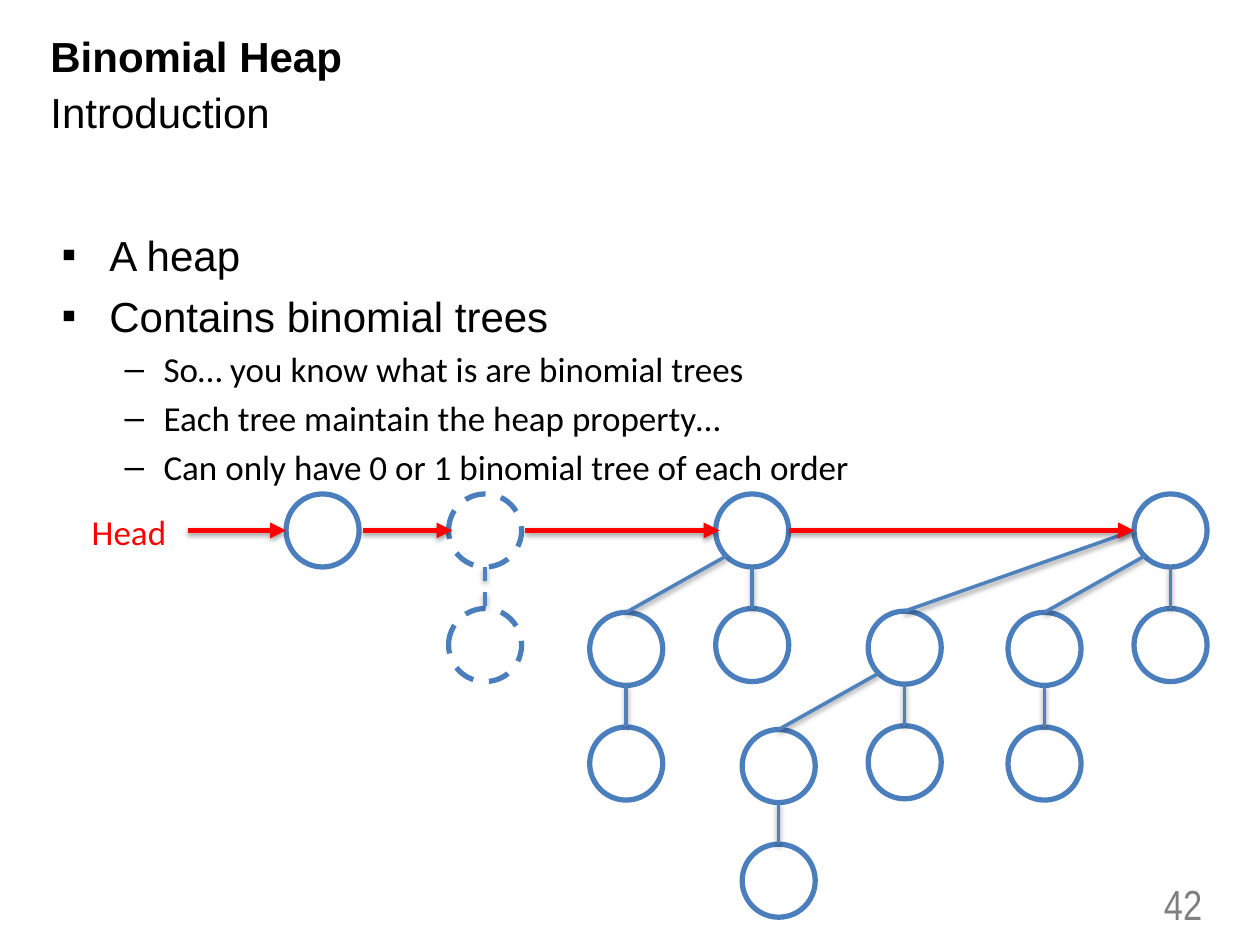
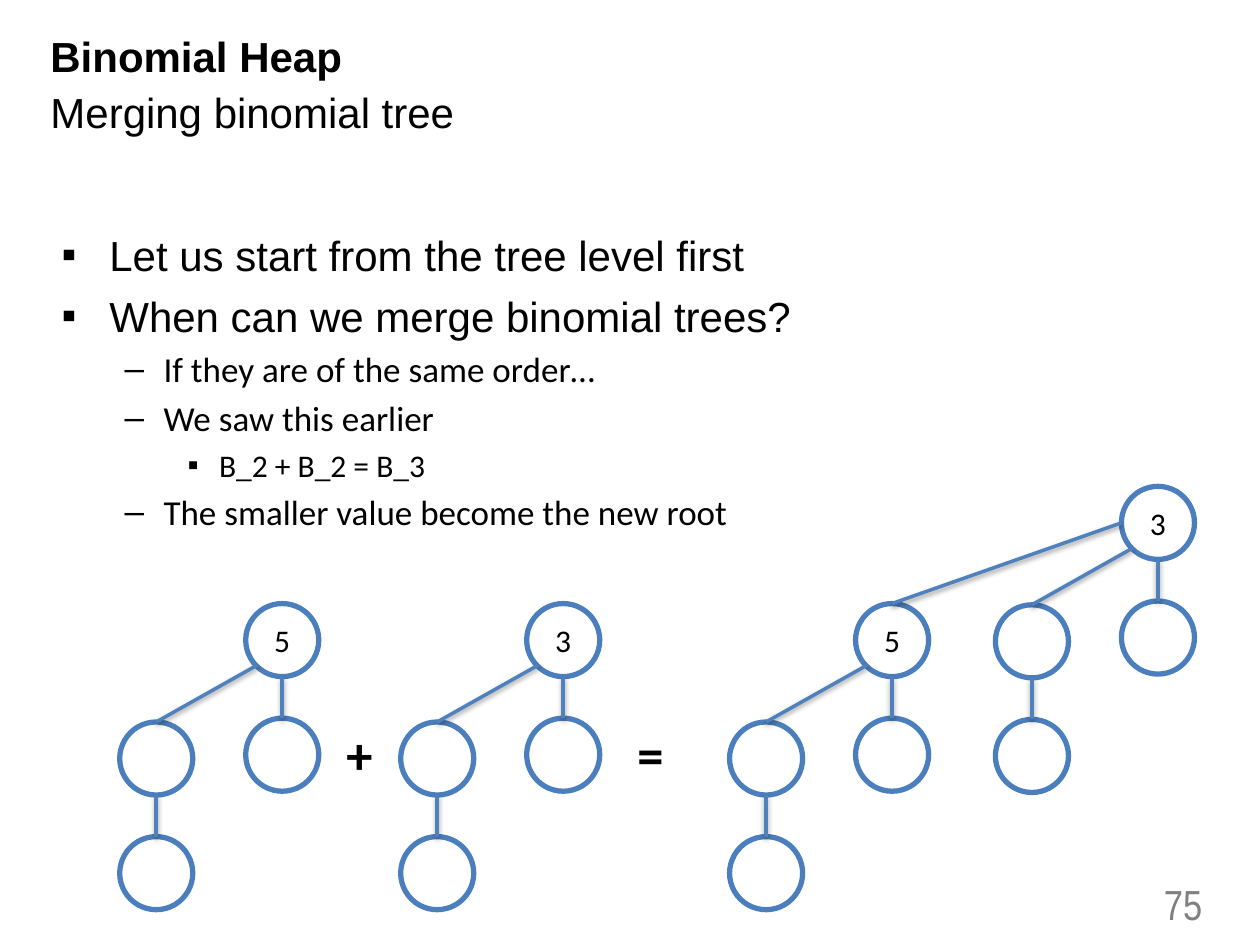
from lxml.etree import SubElement
from pptx import Presentation
from pptx.dml.color import RGBColor
from pptx.enum.dml import MSO_LINE
from pptx.enum.shapes import MSO_CONNECTOR, MSO_SHAPE
from pptx.enum.text import MSO_ANCHOR, MSO_AUTO_SIZE, PP_ALIGN
from pptx.oxml.ns import qn
from pptx.util import Inches, Pt

BLACK = RGBColor(0x00, 0x00, 0x00)
GREY = RGBColor(0x80, 0x80, 0x80)
RED = RGBColor(0xFF, 0x00, 0x00)
NODE_BLUE = RGBColor(0x4B, 0x7E, 0xBC)
EDGE_BLUE = RGBColor(0x4F, 0x81, 0xBD)

NODE = 0.58
# Offset of the child of each order from its parent
CHILD_OFFSETS = [(0, 0.91), (-1, 0.94), (-2.11, 0.93)]
# Point on the parent's outline where the edge to that child starts
EDGE_STARTS = [(NODE / 2, NODE), (0.09, 0.49), (0, NODE / 2)]
# Bullet, left margin, indent, size, font and space before of each level
LEVELS = [
    ("▪", 0.38, -0.38, 24, "Arial", 6),
    ("–", 0.81, -0.31, 20, "Calibri", 4),
    ("▪", 1.25, -0.25, 18, "Calibri", 4),
]


def set_font(paragraph, size, name="Calibri", color=BLACK, bold=False):
    """Format all the text of a paragraph."""
    font = paragraph.font
    font.size, font.name, font.bold = Pt(size), name, bold
    font.color.rgb = color


def add_title(slide, subject, topic):
    """Fill the title with a bold subject above a plain topic."""
    title = slide.shapes.title
    title.left, title.top = Inches(0.3), Inches(0.24)
    title.width, title.height = Inches(5.71), Inches(0.85)
    frame = title.text_frame
    frame.auto_size = MSO_AUTO_SIZE.NONE
    frame.vertical_anchor = MSO_ANCHOR.TOP
    frame.text = f"{subject}\n{topic}"
    for index, paragraph in enumerate(frame.paragraphs):
        paragraph.alignment = PP_ALIGN.LEFT
        paragraph.line_spacing = 0.9
        paragraph.space_before = Pt(6 * index)
        set_font(paragraph, 24, "Arial", bold=index == 0)


def add_label(slide, text, left, top, width, height, size, **font):
    """Add a one-line text box and return its paragraph."""
    frame = slide.shapes.add_textbox(
        Inches(left), Inches(top), Inches(width), Inches(height)).text_frame
    paragraph = frame.paragraphs[0]
    paragraph.text = text
    set_font(paragraph, size, **font)
    return paragraph


def add_page_number(slide, number):
    """Add the page number at the lower right."""
    paragraph = add_label(slide, number, 8.31, 6.92, 1.33, 0.5, 24,
                          name="Arial Narrow", color=GREY)
    paragraph.alignment = PP_ALIGN.RIGHT


def add_bullets(slide, points):
    """Add a bulleted list from (level, text) pairs."""
    frame = slide.shapes.add_textbox(
        Inches(0.39), Inches(1.77), Inches(9), Inches(4.95)).text_frame
    frame.word_wrap = True
    for index, (level, text) in enumerate(points):
        bullet, margin, indent, size, font, gap = LEVELS[level]
        paragraph = frame.add_paragraph() if index else frame.paragraphs[0]
        paragraph.text = text
        paragraph.level = level
        if index:
            paragraph.space_before = Pt(gap)
        properties = paragraph._p.get_or_add_pPr()
        properties.set("marL", str(Inches(margin)))
        properties.set("indent", str(Inches(indent)))
        SubElement(properties, qn("a:buFont"), typeface="Arial")
        SubElement(properties, qn("a:buChar"), char=bullet)
        set_font(paragraph, size, font)


def add_line(slide, start, end, color, width, dashed=False):
    """Add a straight line with a soft shadow below it."""
    line = slide.shapes.add_connector(
        MSO_CONNECTOR.STRAIGHT, *(Inches(value) for value in (*start, *end)))
    line.line.color.rgb = color
    line.line.width = Pt(width)
    if dashed:
        line.line.dash_style = MSO_LINE.DASH
    effects = SubElement(line._element.spPr, qn("a:effectLst"))
    shadow = SubElement(effects, qn("a:outerShdw"), blurRad=str(Pt(3.1)),
                        dist=str(Pt(1.6)), dir="5400000", rotWithShape="0")
    shade = SubElement(shadow, qn("a:srgbClr"), val=str(BLACK))
    SubElement(shade, qn("a:alpha"), val="38000")
    return line


def add_arrow(slide, start, end):
    """Add a red arrow that links one root to the next."""
    arrow = add_line(slide, start, end, RED, 3)
    SubElement(arrow.line._get_or_add_ln(), qn("a:tailEnd"), type="triangle")


def add_node(slide, left, top, key, dashed):
    """Add a tree node that shows its key, if it has one."""
    node = slide.shapes.add_shape(
        MSO_SHAPE.OVAL, Inches(left), Inches(top), Inches(NODE), Inches(NODE))
    node.shadow.inherit = False
    node.fill.background()
    node.line.color.rgb = NODE_BLUE
    node.line.width = Pt(3)
    if dashed:
        node.line.dash_style = MSO_LINE.DASH
    if key:
        frame = node.text_frame
        frame.word_wrap = False
        frame.vertical_anchor = MSO_ANCHOR.MIDDLE
        paragraph = frame.paragraphs[0]
        paragraph.text = key
        paragraph.alignment = PP_ALIGN.CENTER
        set_font(paragraph, 18)
    return node


def add_tree(slide, order, left, top, keys=(), dashed=False):
    """Add a binomial tree, with keys down its highest-order branch."""
    root = add_node(slide, left, top, keys[0] if keys else "", dashed)
    for child_order in range(order):
        dx, dy = CHILD_OFFSETS[child_order]
        edge_x, edge_y = EDGE_STARTS[child_order]
        child_keys = keys[1:] if child_order == order - 1 else ()
        child = add_tree(slide, child_order, left + dx, top + dy,
                         child_keys, dashed)
        edge = add_line(slide, (left + edge_x, top + edge_y),
                        (left + dx + NODE / 2, top + dy),
                        EDGE_BLUE, 2, dashed)
        edge.end_connect(child, 0)
    return root


def add_heap_slide(deck, topic, number, points):
    """Add a slide with title, bullets and page number."""
    slide = deck.slides.add_slide(deck.slide_layouts[5])
    add_page_number(slide, number)
    add_bullets(slide, points)
    add_title(slide, "Binomial Heap", topic)
    return slide


def add_introduction(deck):
    """Add the slide that shows a heap as a list of trees."""
    slide = add_heap_slide(deck, "Introduction", "42", [
        (0, "A heap"),
        (0, "Contains binomial trees"),
        (1, "So… you know what is are binomial trees"),
        (1, "Each tree maintain the heap property…"),
        (1, "Can only have 0 or 1 binomial tree of each order"),
    ])
    root_top = 3.92
    for order, left in enumerate([2.27, 3.56, 5.68, 9]):
        add_tree(slide, order, left, root_top, dashed=order == 1)
    link_y = root_top + NODE / 2
    for start, end in [(1.49, 2.27), (2.88, 3.59), (4.17, 5.71), (6.26, 9)]:
        add_arrow(slide, (start, link_y), (end, link_y))
    head = add_label(slide, "Head", 0.63, 4, 0.8, 0.44, 20, color=RED)
    head.alignment = PP_ALIGN.LEFT


def add_merging(deck):
    """Add the slide that merges two trees of order 2."""
    slide = add_heap_slide(deck, "Merging binomial tree", "75", [
        (0, "Let us start from the tree level first"),
        (0, "When can we merge binomial trees?"),
        (1, "If they are of the same order…"),
        (1, "We saw this earlier"),
        (2, "B_2 + B_2 = B_3"),
        (1, "The smaller value become the new root"),
    ])
    add_tree(slide, 2, 1.95, 4.79, ["5"])
    add_tree(slide, 2, 4.18, 4.79, ["3"])
    add_tree(slide, 3, 8.9, 3.86, ["3", "5"])
    for sign, left in [("+", 2.65), ("=", 4.96)]:
        add_label(slide, sign, left, 5.68, 0.41, 0.61, 30, bold=True)


def main():
    """Build and save the deck."""
    deck = Presentation()
    deck.slide_width, deck.slide_height = Inches(10), Inches(7.5)
    add_introduction(deck)
    add_merging(deck)
    deck.save("out.pptx")


if __name__ == "__main__":
    main()
